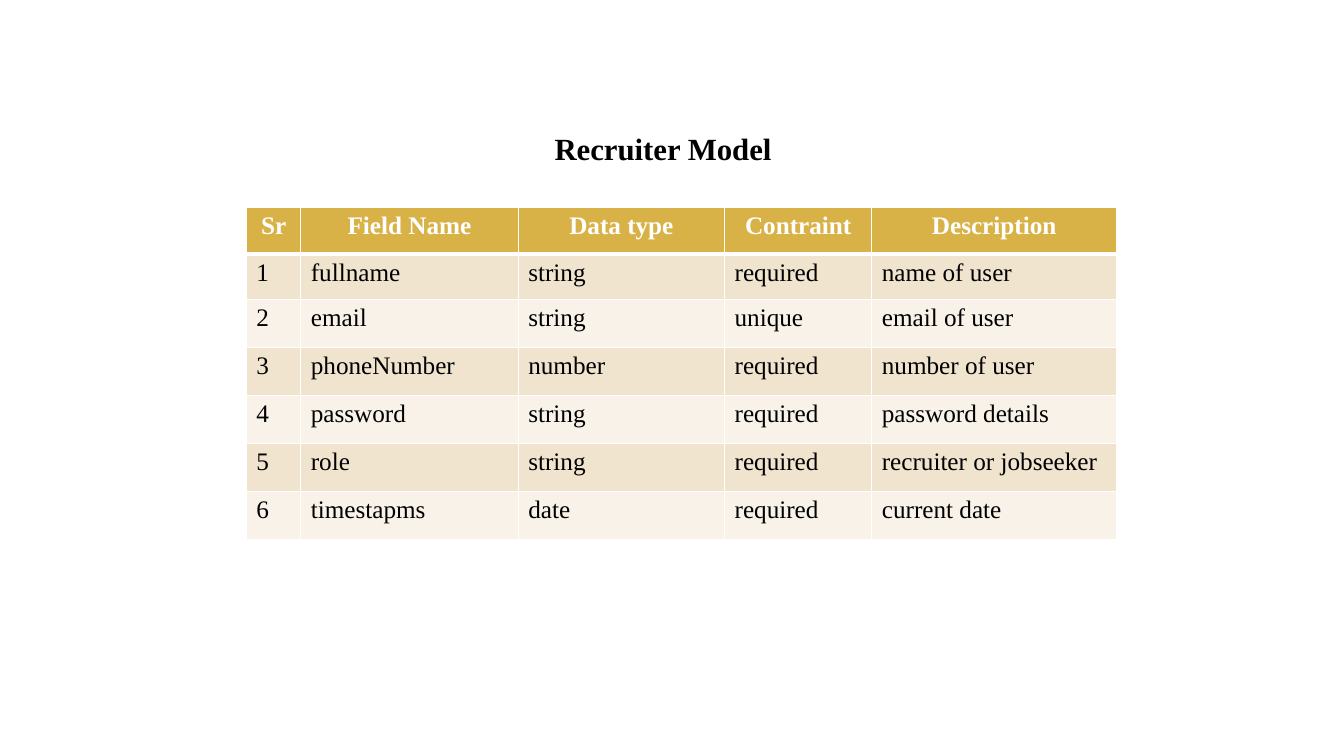
from lxml.etree import SubElement
from pptx import Presentation
from pptx.dml.color import RGBColor
from pptx.enum.text import MSO_ANCHOR as Anchor, MSO_AUTO_SIZE as AutoSize, PP_ALIGN as Align
from pptx.oxml.ns import qn
from pptx.util import Cm, Pt

BLACK = RGBColor(0x00, 0x00, 0x00)
WHITE = RGBColor(0xFF, 0xFF, 0xFF)
GOLD = RGBColor(0xD9, 0xB2, 0x47)
SAND = RGBColor(0xF1, 0xE4, 0xCF)
CREAM = RGBColor(0xF8, 0xF2, 0xE9)

FONT = "Times New Roman"
COLUMN_WIDTHS = [1.37, 5.48, 5.2, 3.71, 6.17]
ROW_HEIGHTS = [1.18, 1.14] + [1.21] * 5
HEADINGS = ["Sr", "Field Name", "Data type", "Contraint", "Description"]
FIELDS = [
    ["fullname", "string", "required", "name of user"],
    ["email", "string", "unique", "email of user"],
    ["phoneNumber", "number", "required", "number of user"],
    ["password", "string", "required", "password details"],
    ["role", "string", "required", "recruiter or jobseeker"],
    ["timestapms", "date", "required", "current date"],
]


def write_text(text_frame, text, size=18, color=BLACK, bold=False, align=Align.LEFT):
    paragraph = text_frame.paragraphs[0]
    paragraph.alignment = align
    run = paragraph.add_run()
    run.text = text
    run.font.name = FONT
    run.font.size = Pt(size)
    run.font.bold = bold
    run.font.color.rgb = color


def set_borders(cell, widths):
    properties = cell._tc.get_or_add_tcPr()
    for position, (side, width) in enumerate(widths.items()):
        line = SubElement(properties, qn(f"a:{side}"), w=str(Pt(width)))
        fill = SubElement(line, qn("a:solidFill"))
        SubElement(fill, qn("a:srgbClr"), val=str(WHITE))
        properties.insert(position, line)


def add_title(slide, left, top, width, height):
    title = slide.shapes.title
    title.left, title.top, title.width, title.height = left, top, width, height
    text_frame = title.text_frame
    text_frame.word_wrap = True
    text_frame.auto_size = AutoSize.SHAPE_TO_FIT_TEXT
    text_frame.vertical_anchor = Anchor.TOP
    write_text(text_frame, "Recruiter Model", size=22, bold=True)


def add_field_table(slide, left, top, width, height):
    rows = [HEADINGS] + [[str(number), *field] for number, field in enumerate(FIELDS, 1)]
    table = slide.shapes.add_table(len(rows), len(HEADINGS), left, top, width, height).table
    for column, column_width in zip(table.columns, COLUMN_WIDTHS):
        column.width = Cm(column_width)
    for row, row_height in zip(table.rows, ROW_HEIGHTS):
        row.height = Cm(row_height)

    for row_index, values in enumerate(rows):
        is_header = row_index == 0
        row_fill = GOLD if is_header else SAND if row_index % 2 else CREAM
        borders = {
            "lnL": 1,
            "lnR": 1,
            "lnT": 3 if row_index == 1 else 1,
            "lnB": 3 if is_header else 1,
        }
        text_format = {"color": WHITE, "bold": True, "align": Align.CENTER} if is_header else {}
        for column_index, value in enumerate(values):
            cell = table.cell(row_index, column_index)
            cell.fill.solid()
            cell.fill.fore_color.rgb = row_fill
            set_borders(cell, borders)
            write_text(cell.text_frame, value, **text_format)


def main():
    presentation = Presentation()
    presentation.slide_width = Cm(33.87)
    presentation.slide_height = Cm(19.05)
    slide = presentation.slides.add_slide(presentation.slide_layouts[5])
    add_field_table(slide, Cm(6.21), Cm(5.22), Cm(sum(COLUMN_WIDTHS)), Cm(sum(ROW_HEIGHTS)))
    add_title(slide, Cm(13.72), Cm(3.15), Cm(6.93), Cm(1.14))
    presentation.save("out.pptx")


if __name__ == "__main__":
    main()
